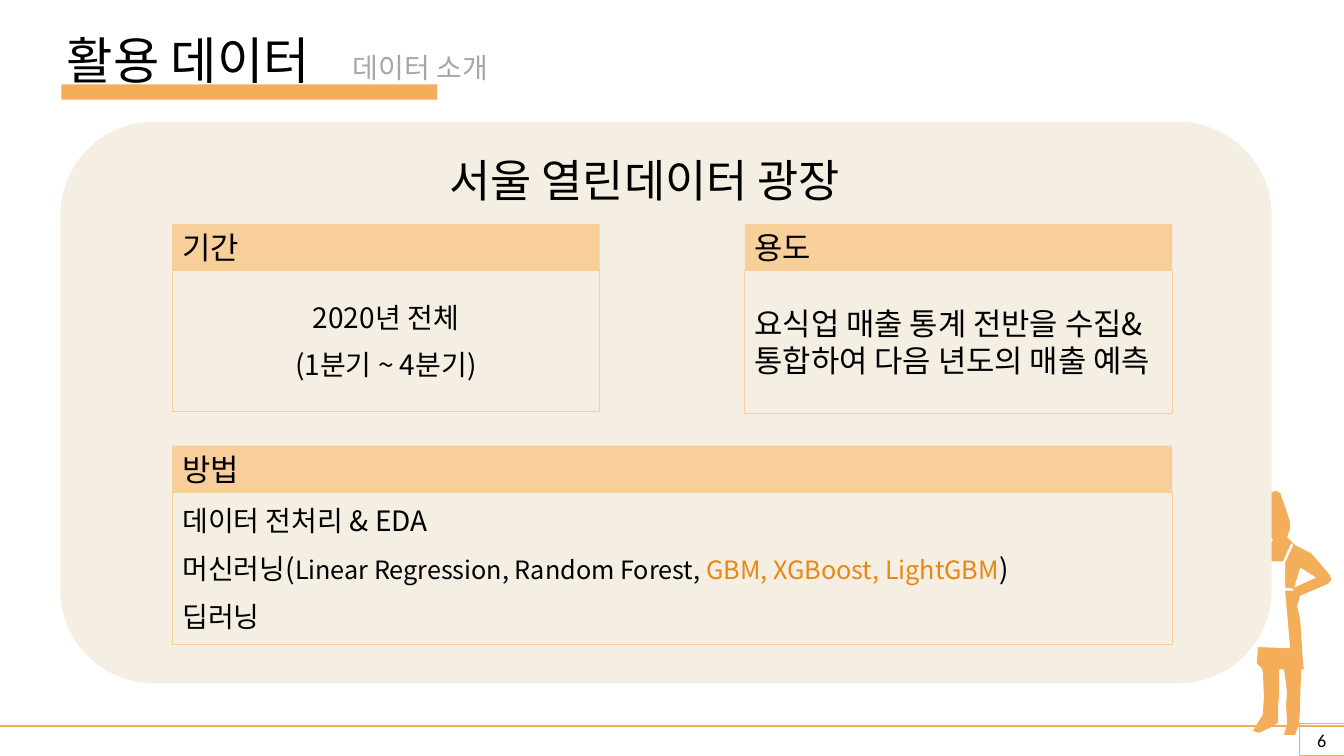
from dataclasses import dataclass

from lxml.etree import SubElement
from pptx import Presentation
from pptx.dml.color import RGBColor
from pptx.enum.shapes import MSO_CONNECTOR, MSO_SHAPE
from pptx.enum.text import MSO_ANCHOR, MSO_AUTO_SIZE, PP_ALIGN
from pptx.oxml.ns import qn
from pptx.util import Cm, Pt


@dataclass(frozen=True)
class Theme:
    """Colours, fonts and type sizes of the slide."""
    accent: str = "F4AE59"
    band: str = "F8CE9B"
    panel: str = "F5EEE3"
    white: str = "FFFFFF"
    ink: str = "000000"
    muted: str = "A6A6A6"
    highlight: str = "EA8710"
    heading_font: str = "Calibri"
    body_font: str = "Noto Sans CJK KR"
    title: int = 36
    source: int = 32
    card: int = 22
    text: int = 20
    models: int = 18
    page: int = 13


THEME = Theme()
SLIDE_WIDTH, SLIDE_HEIGHT = 33.87, 19.05
FIGURE_UNIT = Cm(0.0254)
FIGURE_BODY = [
    (2, 83), (36, 83), (27, 88), (39, 92), (54, 81), (60, 58), (67, 49), (63, 44),
    (60, 35), (59, 6), (61, 3), (70, 0), (74, 2), (77, 10), (80, 19), (84, 31), (84, 37),
    (81, 46), (89, 54), (105, 62), (123, 83), (125, 88), (122, 92), (94, 104), (91, 114),
    (94, 128), (97, 174), (98, 177), (95, 177), (94, 205), (94, 211), (93, 231),
    (89, 242), (78, 242), (81, 231), (80, 212), (81, 200), (78, 177), (73, 177),
    (73, 204), (72, 213), (72, 230), (66, 234), (53, 240), (47, 238), (50, 233),
    (57, 222), (58, 204), (57, 180), (56, 176), (51, 171), (55, 113), (49, 102),
    (13, 90), (2, 86)]
FIGURE_ELBOW = [(88, 96), (110, 86), (94, 76)]
FIGURE_APRON = [
    (85, 52), (77, 70), (60, 70), (63, 57), (60, 58), (57, 73), (57, 94), (51, 155),
    (84, 156), (79, 99), (88, 99), (87, 97), (79, 96), (79, 71), (87, 54)]


def style_run(run, size, color=THEME.ink, font=THEME.body_font):
    """Set size, colour and typeface of one run."""
    run.font.size = Pt(size)
    run.font.color.rgb = RGBColor.from_string(color)
    run.font.name = font
    SubElement(run.font._element, qn("a:ea")).set("typeface", font)


def style_shape(shape, fill=None, line=None):
    """Give a shape a flat fill and a thin outline, or neither."""
    shape.shadow.inherit = False
    if fill:
        shape.fill.solid()
        shape.fill.fore_color.rgb = RGBColor.from_string(fill)
    else:
        shape.fill.background()
    if line:
        shape.line.color.rgb = RGBColor.from_string(line)
        shape.line.width = Pt(0.75)
    else:
        shape.line.fill.background()


def add_block(slide, box, kind=MSO_SHAPE.RECTANGLE, fill=None, line=None):
    """Add a preset shape in a box given in centimetres."""
    block = slide.shapes.add_shape(kind, *map(Cm, box))
    style_shape(block, fill, line)
    return block


def write_lines(frame, lines, size, align=PP_ALIGN.LEFT, anchor=MSO_ANCHOR.MIDDLE,
                color=THEME.ink, font=THEME.body_font):
    """Write one paragraph per line and format its runs."""
    frame.text = "\n".join(lines)
    frame.word_wrap = True
    frame.auto_size = MSO_AUTO_SIZE.NONE
    frame.vertical_anchor = anchor
    for index, paragraph in enumerate(frame.paragraphs):
        paragraph.alignment = align
        paragraph.space_before = Pt(10 if index else 0)
        for run in paragraph.runs:
            style_run(run, size, color, font)


def add_footer(slide, box, number):
    """Draw the rule along the foot and the page number in its box."""
    rule = slide.shapes.add_connector(
        MSO_CONNECTOR.STRAIGHT, Cm(0), Cm(18.29), Cm(SLIDE_WIDTH), Cm(18.29))
    rule.line.color.rgb = RGBColor.from_string(THEME.accent)
    rule.line.width = Pt(1.5)
    SubElement(rule.element.spPr, qn("a:effectLst"))
    page = add_block(slide, box, line=THEME.accent)
    write_lines(page.text_frame, [number], THEME.page, PP_ALIGN.CENTER,
                font=THEME.heading_font)


def add_figure(slide, left, top):
    """Draw the standing figure with its apron."""
    for outlines, fill in (((FIGURE_BODY, FIGURE_ELBOW), THEME.accent),
                           ((FIGURE_APRON,), THEME.white)):
        builder = slide.shapes.build_freeform(*outlines[0][0], scale=FIGURE_UNIT)
        builder.add_line_segments(outlines[0][1:])
        for hole in outlines[1:]:
            builder.move_to(*hole[0])
            builder.add_line_segments(hole[1:])
        style_shape(builder.convert_to_shape(Cm(left), Cm(top)), fill)


def add_header(slide, left, top):
    """Place the slide title, its underline and the section name."""
    section = slide.shapes.add_textbox(Cm(left + 7.21), Cm(top + 0.53), Cm(15.39), Cm(0.86))
    title = slide.shapes.title
    title.left, title.top, title.width, title.height = map(Cm, (left, top, 15.39, 1.55))
    for part, words, size, color in ((title, "활용 데이터", THEME.title, THEME.ink),
                                     (section, "데이터 소개", THEME.text, THEME.muted)):
        frame = part.text_frame
        write_lines(frame, [words], size, anchor=MSO_ANCHOR.TOP, color=color,
                    font=THEME.heading_font)
        frame.margin_left, frame.margin_right = Cm(0.13), Cm(0.08)
        frame.margin_top = frame.margin_bottom = Cm(0)
    add_block(slide, (left, top + 1.39, 9.47, 0.38), fill=THEME.accent)


def add_card_band(slide, left, top, width, heading):
    """Draw the coloured heading band of a card."""
    band = add_block(slide, (left, top, width, 1.19), fill=THEME.band)
    write_lines(band.text_frame, [heading], THEME.card)


def add_card(slide, box, heading, lines, size, align):
    """Draw a card with a heading band and outlined text."""
    left, top, width, height = box
    content = add_block(slide, (left, top + 1.17, width, height - 1.17), line=THEME.band)
    write_lines(content.text_frame, lines, size, align)
    add_card_band(slide, left, top, width, heading)


def add_method_card(slide, box):
    """Draw the method card with its list in the body placeholder."""
    left, top, width, height = box
    methods = slide.placeholders[1]
    methods.left, methods.top, methods.width, methods.height = map(
        Cm, (left, top + 1.17, width, height - 1.17))
    methods.line.color.rgb = RGBColor.from_string(THEME.band)
    methods.line.width = Pt(0.75)
    slide.shapes[-1].element.addnext(methods.element)
    write_lines(methods.text_frame, ["데이터 전처리 & EDA", "머신러닝(", "딥러닝"], THEME.text)
    for paragraph in methods.text_frame.paragraphs:
        properties = paragraph._p.get_or_add_pPr()
        properties.set("marL", "0")
        properties.set("indent", "0")
        SubElement(properties, qn("a:buNone"))
    learning = methods.text_frame.paragraphs[1]
    for words, size, color in (
            ("Linear Regression, Random Forest, ", THEME.models, THEME.ink),
            ("GBM, XGBoost, LightGBM", THEME.models, THEME.highlight),
            (")", THEME.text, THEME.ink)):
        run = learning.add_run()
        run.text = words
        style_run(run, size, color)
    add_card_band(slide, left, top, width, "방법")


def add_data_panel(slide, box):
    """Draw the rounded panel with the data source and its three cards."""
    left, top, width, height = box
    add_block(slide, box, MSO_SHAPE.ROUNDED_RECTANGLE, THEME.panel)
    source = slide.shapes.add_textbox(Cm(left + 9.55), Cm(top + 0.61), Cm(11.71), Cm(1.68))
    write_lines(source.text_frame, ["서울 열린데이터 광장"], THEME.source)
    cards_left, cards_width, card_width = left + 2.82, 25.2, 10.77
    add_card(slide, (cards_left, top + 2.57, card_width, 4.73), "기간",
             ["2020년 전체", "(1분기 ~ 4분기)"], THEME.text, PP_ALIGN.CENTER)
    add_card(slide, (cards_left + cards_width - card_width, top + 2.57, card_width, 4.78),
             "용도", ["요식업 매출 통계 전반을 수집&통합하여 다음 년도의 매출 예측"],
             THEME.card, PP_ALIGN.LEFT)
    add_method_card(slide, (cards_left, top + 8.16, cards_width, 5.01))


def main():
    """Build the slide and save it."""
    deck = Presentation()
    deck.slide_width, deck.slide_height = Cm(SLIDE_WIDTH), Cm(SLIDE_HEIGHT)
    slide = deck.slides.add_slide(deck.slide_layouts[1])
    add_figure(slide, 30.38, 12.37)
    add_header(slide, 1.55, 0.74)
    add_data_panel(slide, (1.52, 3.07, 30.53, 14.15))
    add_footer(slide, (32.74, 18.24, 1.14, 0.81), "6")
    deck.save("out.pptx")


if __name__ == "__main__":
    main()
